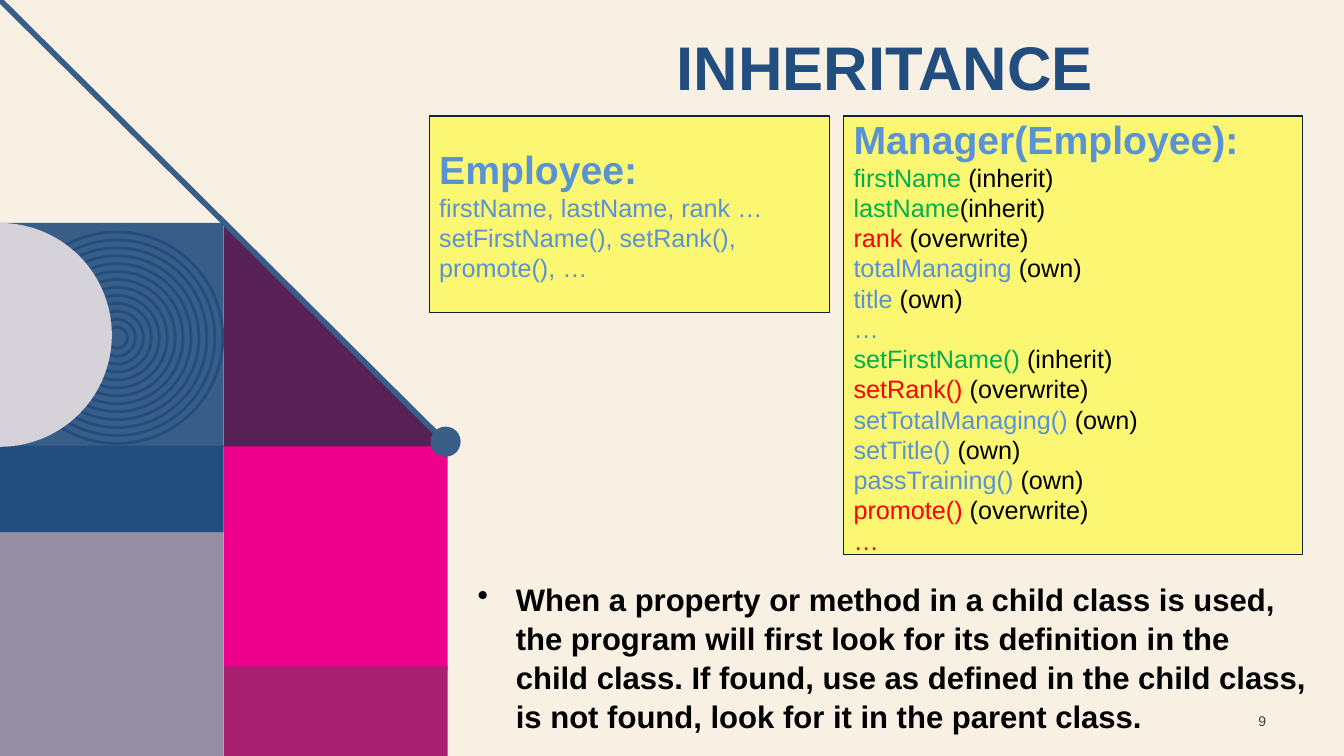
from math import cos, pi, sin

from lxml.etree import SubElement
from pptx import Presentation
from pptx.dml.color import RGBColor
from pptx.enum.shapes import MSO_CONNECTOR, MSO_SHAPE
from pptx.enum.text import MSO_ANCHOR, PP_ALIGN
from pptx.oxml.ns import qn
from pptx.util import Cm, Pt

FONT = "Arial"
NAVY, STEEL, SKY, YELLOW, INK = "224E7F", "385E88", "5A93D3", "FFFF00", "0F2238"
GREEN, RED, BLACK = "00B050", "FF0000", "000000"
TILE = 5.64

ORIGINS = {"inherit": GREEN, "overwrite": RED, "own": SKY}
EMPLOYEE = [
    [("firstName, lastName, rank …", SKY)],
    [("setFirstName(), setRank(), promote(), …", SKY)],
]
MEMBERS = [
    ("firstName ", "inherit"), ("lastName", "inherit"), ("rank ", "overwrite"),
    ("totalManaging ", "own"), ("title ", "own"), ("…", SKY),
    ("setFirstName() ", "inherit"), ("setRank() ", "overwrite"),
    ("setTotalManaging() ", "own"), ("setTitle() ", "own"),
    ("passTraining() ", "own"), ("promote() ", "overwrite"), ("…", RED),
]
RULE = (
    "When a property or method in a child class is used, the program will first "
    "look for its definition in the child class. If found, use as defined in the "
    "child class, is not found, look for it in the parent class."
)


def rgb(value):
    """Turn a hex string into a colour."""
    return RGBColor.from_string(value)


def member_runs(name, origin):
    """Return the coloured runs of one class member."""
    if origin not in ORIGINS:
        return [(name, origin)]
    return [(name, ORIGINS[origin]), (f"({origin})", BLACK)]


class Deck:
    """Holds the current slide and draws its elements in one style."""

    def __init__(self, prs, background):
        """Add a title-only slide with a plain background."""
        self.s = prs.slides.add_slide(prs.slide_layouts[5])
        self.s.background.fill.solid()
        self.s.background.fill.fore_color.rgb = rgb(background)

    def paint(self, sp, fill=None, line=None, width=1):
        """Set fill and outline and drop the shadow."""
        sp.shadow.inherit = False
        if fill:
            sp.fill.solid()
            sp.fill.fore_color.rgb = rgb(fill)
        else:
            sp.fill.background()
        if line:
            sp.line.color.rgb = rgb(line)
            sp.line.width = Pt(width)
        else:
            sp.line.fill.background()
        return sp

    def shape(self, kind, x, y, w, h, fill=None, line=None, width=1):
        """Add a preset shape."""
        sp = self.s.shapes.add_shape(kind, Cm(x), Cm(y), Cm(w), Cm(h))
        return self.paint(sp, fill, line, width)

    def circle(self, cx, cy, d, fill=None, line=None, width=1):
        """Add a circle around a centre."""
        return self.shape(MSO_SHAPE.OVAL, cx - d / 2, cy - d / 2, d, d, fill, line, width)

    def polygon(self, points, fill):
        """Add a closed outline through the points."""
        start, *rest = [(Cm(x), Cm(y)) for x, y in points]
        builder = self.s.shapes.build_freeform(*start)
        builder.add_line_segments(rest)
        return self.paint(builder.convert_to_shape(), fill)

    def line(self, x1, y1, x2, y2, color, width):
        """Add a straight line."""
        c = self.s.shapes.add_connector(
            MSO_CONNECTOR.STRAIGHT, Cm(x1), Cm(y1), Cm(x2), Cm(y2))
        c.line.color.rgb = rgb(color)
        c.line.width = Pt(width)
        SubElement(c._element.spPr, qn("a:effectLst"))

    def font(self, p, size, color=None, bold=False):
        """Set the font of a paragraph."""
        p.font.name, p.font.size, p.font.bold = FONT, Pt(size), bold
        if color:
            p.font.color.rgb = rgb(color)

    def title(self, text, x, y, w, h):
        """Place and format the title placeholder."""
        sp = self.s.shapes.title
        sp.left, sp.top, sp.width, sp.height = Cm(x), Cm(y), Cm(w), Cm(h)
        tf = sp.text_frame
        tf.text = text
        tf.vertical_anchor = MSO_ANCHOR.TOP
        p = tf.paragraphs[0]
        p.alignment, p.line_spacing = PP_ALIGN.CENTER, 0.9
        self.font(p, 44, NAVY, True)

    def text(self, text, x, y, w, h, size, color, bold=False):
        """Add a wrapped text box and return its frame."""
        tf = self.s.shapes.add_textbox(Cm(x), Cm(y), Cm(w), Cm(h)).text_frame
        tf.word_wrap = True
        tf.text = text
        self.font(tf.paragraphs[0], size, color, bold)
        return tf

    def bullet(self, text, x, y, w, h):
        """Add a bold bulleted statement."""
        p = self.text(text, x, y, w, h, 22.2, BLACK, True).paragraphs[0]
        p.line_spacing = Pt(28)
        pPr = p._p.get_or_add_pPr()
        pPr.set("marL", str(Cm(0.96)))
        pPr.set("indent", str(-Cm(0.96)))
        bu = pPr.makeelement(qn("a:buChar"), {"char": "•"})
        pPr.insert_element_before(bu, "a:tabLst", "a:defRPr", "a:extLst")

    def class_card(self, name, lines, x, y, w, h):
        """Add a translucent card with a class name and its members."""
        sp = self.shape(MSO_SHAPE.RECTANGLE, x, y, w, h, YELLOW, INK)
        color = sp._element.spPr.find(qn("a:solidFill"))[0]
        SubElement(color, qn("a:alpha"), val="49000")
        tf = sp.text_frame
        tf.word_wrap, tf.vertical_anchor = True, MSO_ANCHOR.MIDDLE
        p = tf.paragraphs[0]
        p.text, p.alignment = name, PP_ALIGN.LEFT
        self.font(p, 28, SKY, True)
        for runs in lines:
            p = tf.add_paragraph()
            p.alignment = PP_ALIGN.LEFT
            self.font(p, 18)
            for text, shade in runs:
                r = p.add_run()
                r.text = text
                r.font.color.rgb = rgb(shade)

    def artwork(self):
        """Draw the tiles, rings and diagonal on the left."""
        rect = MSO_SHAPE.RECTANGLE
        self.shape(rect, 0, 5.62, TILE, TILE, STEEL)
        self.polygon([(TILE, TILE), (2 * TILE, 2 * TILE), (TILE, 2 * TILE)], "582156")
        self.shape(rect, TILE, 11.25, TILE, TILE, "EC008C")
        self.shape(rect, TILE, 16.79, TILE, 2.26, "AA2070")
        self.shape(rect, 0, 13.41, TILE, TILE, "958EA2")
        for i in range(13):
            self.circle(2.95, 8.51, 5.33 - 0.4 * i, line=NAVY, width=2)
        self.shape(rect, 0, 11.23, TILE, 2.18, NAVY)
        radius, steps = TILE / 2, 60
        angles = [pi * i / steps - pi / 2 for i in range(steps + 1)]
        self.polygon([(radius * cos(a), 8.44 + radius * sin(a)) for a in angles], "D5D2DA")
        self.line(0, 0, 11.28, 11.2, STEEL, 4)
        self.circle(11.23, 11.13, 0.76, STEEL)


def main():
    """Build the slide and save it."""
    prs = Presentation()
    prs.slide_width, prs.slide_height = Cm(33.87), Cm(19.05)
    deck = Deck(prs, "F8F0E3")
    deck.artwork()
    tf = deck.text("9", 30.89, 17.65, 1.27, 1.02, 10, "404040")
    tf.vertical_anchor = MSO_ANCHOR.MIDDLE
    tf.paragraphs[0].alignment = PP_ALIGN.RIGHT
    deck.title("INHERITANCE", 11.79, 0.81, 21.03, 3.68)
    deck.class_card("Employee:", EMPLOYEE, 10.82, 2.92, 10.08, 4.95)
    members = [member_runs(*member) for member in MEMBERS]
    deck.class_card("Manager(Employee):", members, 21.26, 2.92, 11.56, 11.05)
    deck.bullet(RULE, 11.79, 14.45, 21.44, 4.6)
    prs.save("out.pptx")


if __name__ == "__main__":
    main()
